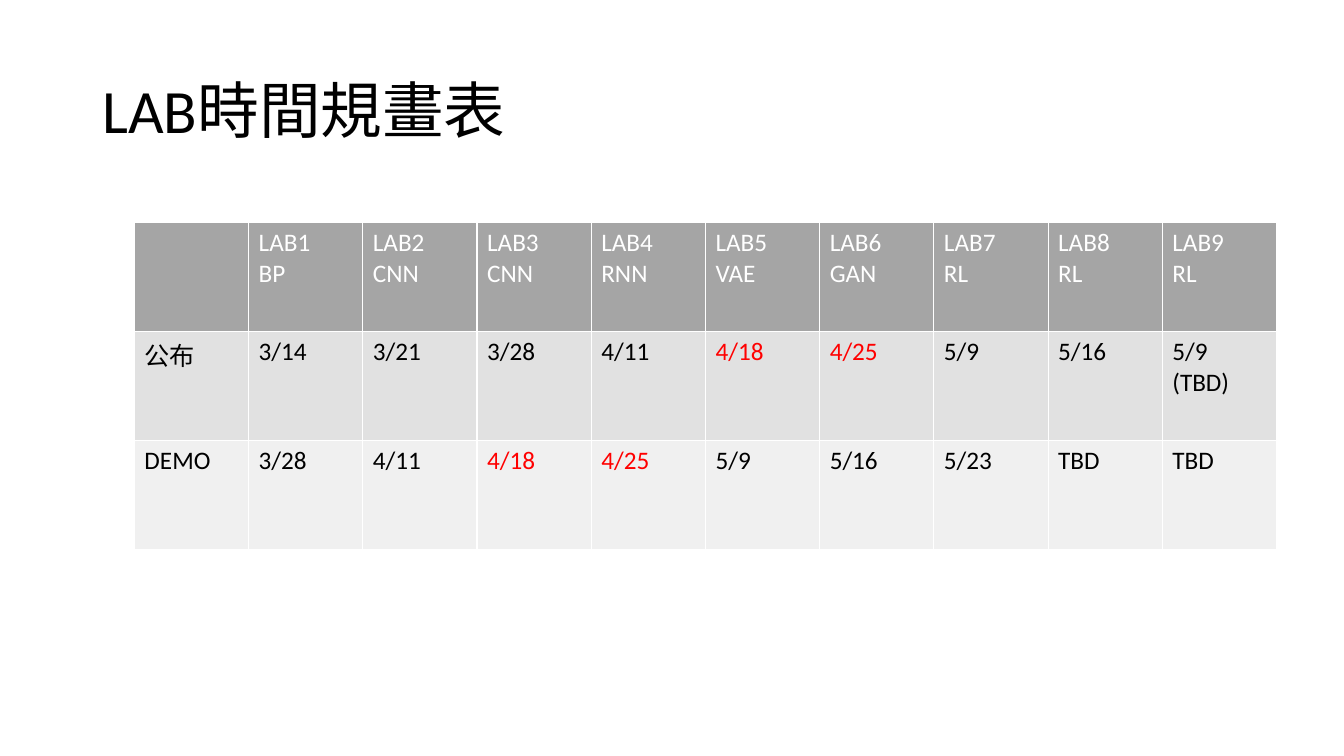
from typing import NamedTuple

import pptx
import pptx.dml.color
import pptx.enum.text
import pptx.util
from pptx.dml.color import RGBColor
from pptx.util import Pt

BLACK = RGBColor(0x00, 0x00, 0x00)
WHITE = RGBColor(0xFF, 0xFF, 0xFF)
RED = RGBColor(0xFF, 0x00, 0x00)
HEADER_GREY = RGBColor(0xA5, 0xA5, 0xA5)
RELEASE_GREY = RGBColor(0xE1, 0xE1, 0xE1)
DEMO_GREY = RGBColor(0xF0, 0xF0, 0xF0)

FONT = "Calibri"
CHANGED_DATES = {"4/18", "4/25"}


class Lab(NamedTuple):
    heading: str
    release: str
    demo: str


class Band(NamedTuple):
    fill: RGBColor
    text_color: RGBColor


# One entry per table column, the row labels first
SCHEDULE = [
    Lab("", "公布", "DEMO"),
    Lab("LAB1\nBP", "3/14", "3/28"),
    Lab("LAB2\nCNN", "3/21", "4/11"),
    Lab("LAB3\nCNN", "3/28", "4/18"),
    Lab("LAB4\nRNN", "4/11", "4/25"),
    Lab("LAB5\nVAE", "4/18", "5/9"),
    Lab("LAB6\nGAN", "4/25", "5/16"),
    Lab("LAB7\nRL", "5/9", "5/23"),
    Lab("LAB8\nRL", "5/16", "TBD"),
    Lab("LAB9\nRL", "5/9\n(TBD)", "TBD"),
]
BANDS = [
    Band(HEADER_GREY, WHITE),
    Band(RELEASE_GREY, BLACK),
    Band(DEMO_GREY, BLACK),
]


def write_text(frame, text: str, *, size: float, color: RGBColor,
               line_spacing: float = 1.0) -> None:
    """Fill a text frame, one paragraph per line of text."""
    frame.text = text
    for paragraph in frame.paragraphs:
        paragraph.alignment = pptx.enum.text.PP_ALIGN.LEFT
        paragraph.line_spacing = line_spacing
        paragraph.font.size = Pt(size)
        for run in paragraph.runs:
            run.font.name = FONT
            run.font.size = Pt(size)
            run.font.bold = False
            run.font.color.rgb = color


def add_title(slide) -> None:
    title = slide.shapes.title
    title.left, title.top = Pt(66), Pt(28.75)
    title.width, title.height = Pt(828), Pt(104.4)
    frame = title.text_frame
    frame.word_wrap = True
    frame.auto_size = pptx.enum.text.MSO_AUTO_SIZE.NONE
    frame.vertical_anchor = pptx.enum.text.MSO_ANCHOR.MIDDLE
    write_text(frame, "LAB時間規畫表", size=44, color=BLACK, line_spacing=0.9)


def add_schedule(slide) -> None:
    # The default table style supplies the white cell borders
    schedule = slide.shapes.add_table(
        len(BANDS), len(SCHEDULE), Pt(96), Pt(159), Pt(816), Pt(233.4)).table
    for column, lab in enumerate(SCHEDULE):
        for row, (text, band) in enumerate(zip(lab, BANDS)):
            cell = schedule.cell(row, column)
            cell.fill.solid()
            cell.fill.fore_color.rgb = band.fill
            color = RED if text in CHANGED_DATES else band.text_color
            write_text(cell.text_frame, text, size=18, color=color)


def main() -> None:
    presentation = pptx.Presentation()
    presentation.slide_width, presentation.slide_height = Pt(960), Pt(540)
    title_only = presentation.slide_layouts[5]
    slide = presentation.slides.add_slide(title_only)
    add_title(slide)
    add_schedule(slide)
    presentation.save("out.pptx")


if __name__ == "__main__":
    main()
